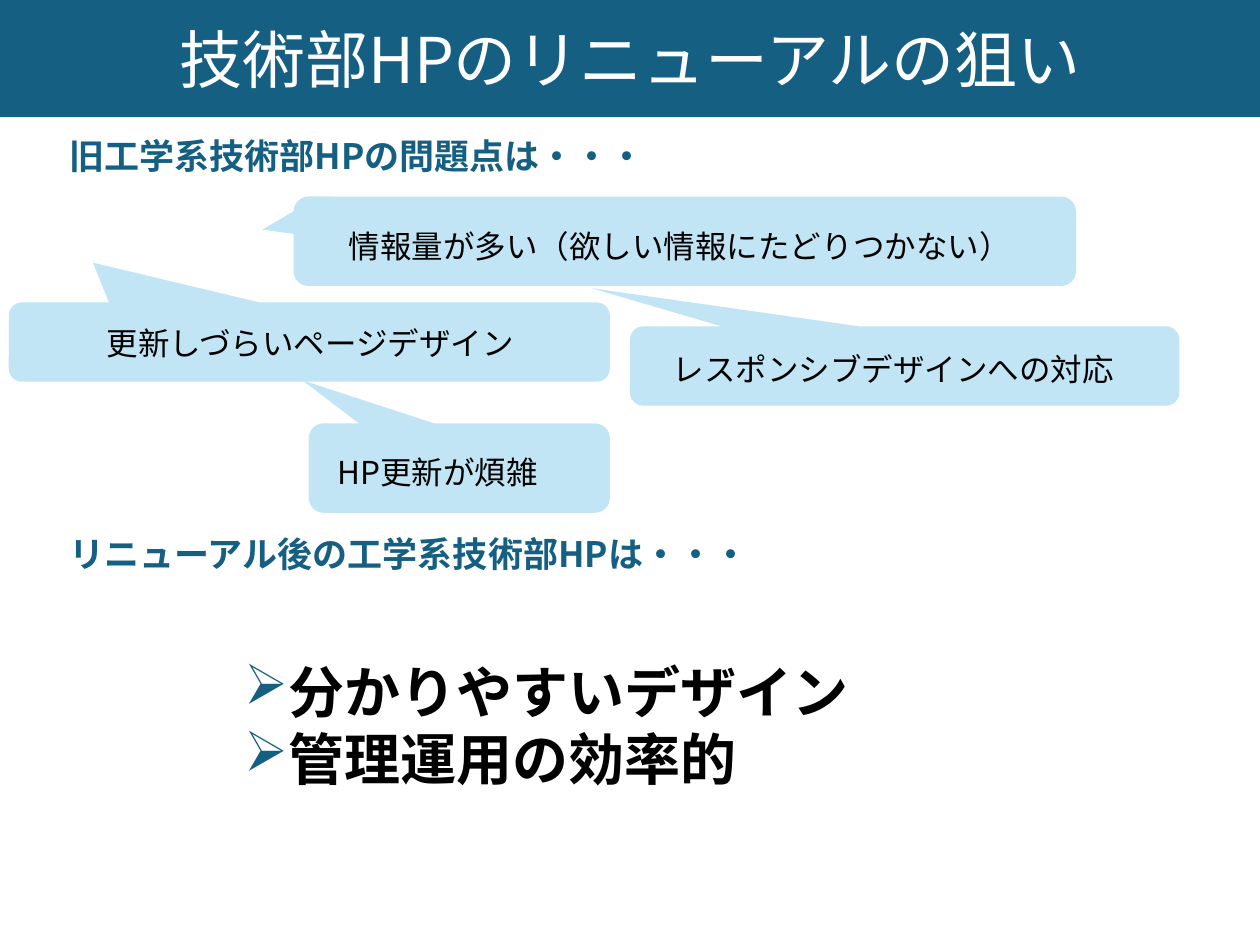
"""Build the slide on the aims of the website renewal."""
from dataclasses import dataclass

import lxml.etree
import pptx
import pptx.dml.color
import pptx.enum.shapes
import pptx.enum.text
import pptx.oxml.ns
import pptx.util

Inches = pptx.util.Inches
Box = tuple[float, float, float, float]


@dataclass(frozen=True)
class Theme:
    font: str = "Noto Sans CJK JP"
    accent: str = "156082"
    bubble: str = "C1E5F5"
    white: str = "FFFFFF"
    black: str = "000000"
    title_size: int = 36
    heading_size: int = 20
    callout_size: int = 18
    goal_size: int = 32


@dataclass(frozen=True)
class Callout:
    text: str
    bubble: Box
    tail: tuple[float, float]
    label: Box


@dataclass(frozen=True)
class Heading:
    text: str
    top: float


THEME = Theme()
TITLE = "技術部HPのリニューアルの狙い"
HEADINGS = [
    Heading("旧工学系技術部HPの問題点は・・・", 1.02),
    Heading("リニューアル後の工学系技術部HPは・・・", 4.18),
]
GOALS = ["分かりやすいデザイン", "管理運用の効率的"]
CALLOUTS = [
    Callout("情報量が多い（欲しい情報にたどりつかない）",
            (2.33, 1.56, 6.21, 0.71), (-0.54, -0.13), (2.67, 1.75, 5.54, 0.33)),
    Callout("レスポンシブデザインへの対応",
            (5, 2.59, 4.36, 0.63), (-0.57, -0.98), (5.24, 2.73, 3.89, 0.29)),
    Callout("更新しづらいページデザイン",
            (0.07, 2.4, 4.77, 0.63), (-0.36, -1), (0.75, 2.52, 4.25, 0.4)),
    Callout("HP更新が煩雑",
            (2.45, 3.36, 2.39, 0.71), (-0.52, -0.98), (2.58, 3.55, 2.14, 0.4)),
]


def style_paragraph(paragraph, size: int, color: str, bold: bool = False) -> None:
    """Set the Latin and East Asian font of a paragraph."""
    font = paragraph.font
    font.name = THEME.font
    font.size = pptx.util.Pt(size)
    font.bold = bold
    font.color.rgb = pptx.dml.color.RGBColor.from_string(color)
    qn = pptx.oxml.ns.qn
    properties = paragraph._p.pPr.find(qn("a:defRPr"))
    lxml.etree.SubElement(properties, qn("a:ea"), typeface=THEME.font)


def add_bullet(paragraph) -> None:
    """Give a paragraph an accent-coloured arrow bullet."""
    qn = pptx.oxml.ns.qn
    properties = paragraph._p.get_or_add_pPr()
    indent = Inches(0.31)
    properties.set("marL", str(indent))
    properties.set("indent", str(-indent))
    color = lxml.etree.SubElement(properties, qn("a:buClr"))
    lxml.etree.SubElement(color, qn("a:srgbClr"), val=THEME.accent)
    lxml.etree.SubElement(properties, qn("a:buChar"), char="➢")


def add_text(shapes, lines: list[str], box: Box, size: int, color: str,
             bold: bool = False, bulleted: bool = False) -> None:
    """Add a wrapping text box with one paragraph per line."""
    frame = shapes.add_textbox(*map(Inches, box)).text_frame
    frame.word_wrap = True
    frame.auto_size = pptx.enum.text.MSO_AUTO_SIZE.SHAPE_TO_FIT_TEXT
    frame.text = "\n".join(lines)
    for paragraph in frame.paragraphs:
        if bulleted:
            add_bullet(paragraph)
        style_paragraph(paragraph, size, color, bold)


def add_filled_shape(shapes, kind, box: Box, color: str):
    """Add a flat shape with no outline."""
    shape = shapes.add_shape(kind, *map(Inches, box))
    shape.shadow.inherit = False
    shape.fill.solid()
    shape.fill.fore_color.rgb = pptx.dml.color.RGBColor.from_string(color)
    shape.line.fill.background()
    return shape


def add_title(shapes) -> None:
    """Add the title band across the top."""
    band = add_filled_shape(shapes, pptx.enum.shapes.MSO_SHAPE.RECTANGLE,
                            (0, 0, 10, 0.93), THEME.accent)
    band.text_frame.text = TITLE
    band.text_frame.vertical_anchor = pptx.enum.text.MSO_ANCHOR.MIDDLE
    paragraph = band.text_frame.paragraphs[0]
    paragraph.alignment = pptx.enum.text.PP_ALIGN.CENTER
    style_paragraph(paragraph, THEME.title_size, THEME.white)


def add_callout(shapes, callout: Callout) -> None:
    """Add a speech bubble grouped with its label."""
    group = shapes.add_group_shape()
    bubble = add_filled_shape(
        group.shapes, pptx.enum.shapes.MSO_SHAPE.ROUNDED_RECTANGULAR_CALLOUT,
        callout.bubble, THEME.bubble)
    bubble.adjustments[0], bubble.adjustments[1] = callout.tail
    add_text(group.shapes, [callout.text], callout.label,
             THEME.callout_size, THEME.black)


def main() -> None:
    """Assemble and save the presentation."""
    presentation = pptx.Presentation()
    presentation.slide_width = Inches(10)
    presentation.slide_height = Inches(7.5)
    slide = presentation.slides.add_slide(presentation.slide_layouts[6])
    add_title(slide.shapes)
    for heading in HEADINGS:
        add_text(slide.shapes, [heading.text], (0.45, heading.top, 7.4, 0.44),
                 THEME.heading_size, THEME.accent, bold=True)
    for callout in CALLOUTS:
        add_callout(slide.shapes, callout)
    add_text(slide.shapes, GOALS, (1.84, 5.17, 8.47, 1.18),
             THEME.goal_size, THEME.black, bold=True, bulleted=True)
    presentation.save("out.pptx")


if __name__ == "__main__":
    main()
